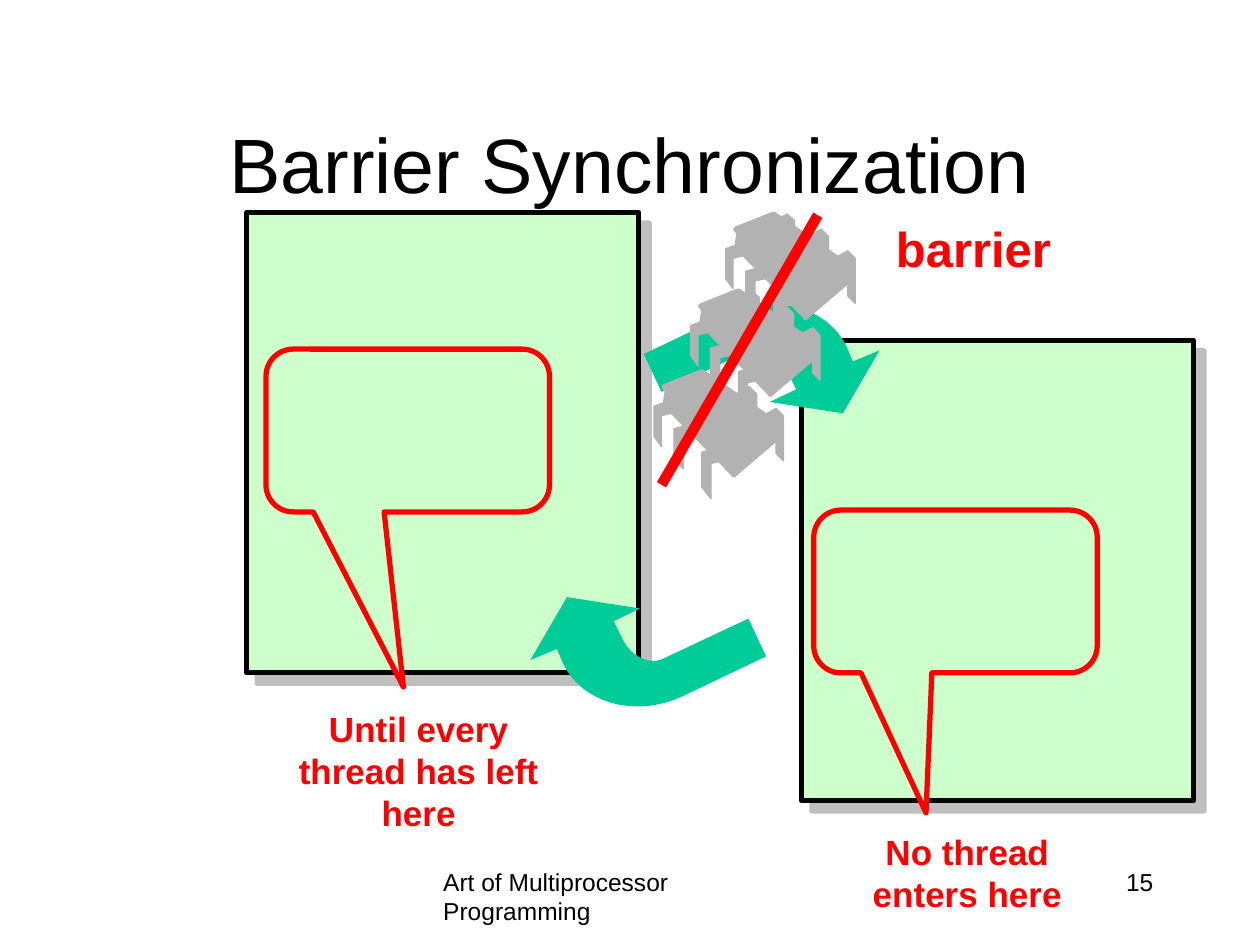
from lxml import etree
from pptx import Presentation
from pptx.dml.color import RGBColor
from pptx.enum.shapes import MSO_CONNECTOR, MSO_SHAPE
from pptx.enum.text import MSO_ANCHOR, MSO_AUTO_SIZE, PP_ALIGN
from pptx.oxml.ns import qn
from pptx.util import Pt

LEFT, MID, RIGHT = PP_ALIGN.LEFT, PP_ALIGN.CENTER, PP_ALIGN.RIGHT
TOP, CENTER = MSO_ANCHOR.TOP, MSO_ANCHOR.MIDDLE
GROW, FIXED = MSO_AUTO_SIZE.SHAPE_TO_FIT_TEXT, MSO_AUTO_SIZE.NONE
RECT, CALLOUT = MSO_SHAPE.RECTANGLE, MSO_SHAPE.ROUNDED_RECTANGULAR_CALLOUT
STRAIGHT = MSO_CONNECTOR.STRAIGHT

THEME = {
    "font": "Arial", "title": 44, "label": 28, "note": 20, "foot": 14,
    "ink": "000000", "red": "FF0000", "room": "CCFFCC",
    "arrow": "00CC99", "robot": "B2B2B2", "shade": "808080",
    "thin": 0.75, "thick": 3, "bar": 6,
}

TITLE = ("Barrier Synchronization", (54, 48, 612, 90))
ROOMS = [(458, 194.5), (141, 121.5)]
ROOM = (224, 263)
CALLS = [
    ((465, 291.5), (-0.104, 1.36, 0.167)),
    ((152, 199.5), (-0.015, 1.576, 0.167)),
]
CALL = (162, 93)
NOTES = [
    ("No thread enters here", (472.5, 471, 160.5, 55.5)),
    ("Until every thread has left here", (159, 400.5, 160.5, 79)),
]
LABEL = ("barrier", (504, 121.5, 104.5, 41))
FEET = [
    ("Art of Multiprocessor Programming", (246.2, 491.8, 228, 36), LEFT),
    ("15", (516.2, 491.8, 150, 36), RIGHT),
]
BAR = (378, 277, 467.3, 123)

HEAD = [(481.7, 236.2), (502.6, 200.2), (487.4, 206.6)]
OUTER = [(483.8, 198), (473, 175.7), (442.8, 167), (416.2, 179.3)]
TAIL = [(367.9, 202.3), (378, 223.9)]
INNER = [(427, 200.9), (434.9, 197.3), (445.7, 202.3), (450.7, 213.8)]
BARB = [(455, 222.5), (439.9, 229.7)]
TURN = (805.7, 577.4)

ROBOTS = [(373.7, 212.4), (414.7, 122.4), (394.6, 166.3)]
REAR = [(0, 0.14), (0.65, 0), (1, 0.14), (1, 1), (0.65, 0.86), (0.65, 0.29), (0, 0.43)]
FRONT = [(0.56, 0), (1, 0.22), (0.27, 0.33), (0.27, 1), (0, 0.78), (0, 0.12)]
BACKS = [(62, 21, 12, 30), (46.8, 8.6, 12, 30), (27.4, 0, 12, 26)]
FORES = [(27.4, 42.5, 19.4, 30.2), (11.5, 29.5, 19.4, 26), (0, 16.6, 15.5, 26)]
BODY = [
    [(27.4, 0), (69.8, 29.5), (46, 47.5), (5.8, 8.6)],
    [(7.9, 8.6), (46.8, 46.8), (46, 59), (6.5, 18.7)],
    [(69.8, 29.5), (69.8, 38.2), (45.4, 59), (46.8, 46)],
]


def color(name):
    return RGBColor.from_string(THEME[name])


def paint(shape, fill, line=None, width="thick"):
    shape.shadow.inherit = False
    shape.fill.solid()
    shape.fill.fore_color.rgb = color(fill)
    if line:
        shape.line.color.rgb = color(line)
        shape.line.width = Pt(THEME[width])
    else:
        shape.line.fill.background()


def shade(shape):
    glow = shape._element.spPr.find(qn("a:effectLst"))
    drop = etree.SubElement(glow, qn("a:outerShdw"), blurRad="0",
                            dist=str(Pt(8.5)), dir="2700000", algn="ctr", rotWithShape="0")
    tint = etree.SubElement(drop, qn("a:srgbClr"), val=THEME["shade"])
    etree.SubElement(tint, qn("a:alpha"), val="50000")


def write(text, area, box=None, size="note", ink="ink", bold=False,
          align=MID, anchor=TOP, wrap=True, fit=FIXED):
    spot = [Pt(v) for v in area]
    if box is None:
        box = slide.shapes.add_textbox(*spot)
    box.left, box.top, box.width, box.height = spot
    frame = box.text_frame
    frame.word_wrap, frame.auto_size, frame.vertical_anchor = wrap, fit, anchor
    para = frame.paragraphs[0]
    para.text, para.alignment = text, align
    font = para.runs[0].font
    font.name, font.size, font.bold = THEME["font"], Pt(THEME[size]), bold
    font.color.rgb = color(ink)


def outline(shapes, points):
    dots = [(Pt(x), Pt(y)) for x, y in points]
    pen = shapes.build_freeform(*dots[0])
    pen.add_line_segments(dots[1:], close=True)
    return pen.convert_to_shape()


def curve(knots, steps=16):
    dots = []
    for i in range(steps + 1):
        t = i / steps
        mix = ((1 - t) ** 3, 3 * t * (1 - t) ** 2, 3 * t * t * (1 - t), t ** 3)
        dots.append(tuple(sum(m * k[a] for m, k in zip(mix, knots)) for a in (0, 1)))
    return dots


def legs(form, areas):
    return [([(x + w * u, y + h * v) for u, v in form], "thin") for x, y, w, h in areas]


deck = Presentation()
deck.slide_width, deck.slide_height = Pt(720), Pt(540)
slide = deck.slides.add_slide(deck.slide_layouts[5])
write(*TITLE, box=slide.shapes.title, size="title", anchor=CENTER)

for spot in ROOMS:
    room = slide.shapes.add_shape(RECT, *map(Pt, spot + ROOM))
    paint(room, "room", "ink")
    shade(room)

arrow = HEAD + curve(OUTER) + TAIL + curve(INNER) + BARB
for points in (arrow, [(TURN[0] - x, TURN[1] - y) for x, y in arrow]):
    paint(outline(slide.shapes, points), "arrow")

for text, area, align in FEET:
    write(text, area, size="foot", align=align)

parts = legs(REAR, BACKS) + [(face, "thick") for face in BODY] + legs(FRONT, FORES)
for left, top in ROBOTS:
    robot = slide.shapes.add_group_shape()
    for points, width in parts:
        piece = outline(robot.shapes, [(left + x, top + y) for x, y in points])
        paint(piece, "robot", "robot", width)

bar = slide.shapes.add_connector(STRAIGHT, *map(Pt, BAR))
bar.line.color.rgb = color("red")
bar.line.width = Pt(THEME["bar"])
etree.SubElement(bar._element.spPr, qn("a:effectLst"))

for (spot, bends), (text, area) in zip(CALLS, NOTES):
    call = slide.shapes.add_shape(CALLOUT, *map(Pt, spot + CALL))
    for i, bend in enumerate(bends):
        call.adjustments[i] = bend
    paint(call, "room", "red")
    write(text, area, ink="red", bold=True, fit=GROW)

write(*LABEL, size="label", ink="red", bold=True, wrap=False, fit=GROW)
deck.save("out.pptx")
